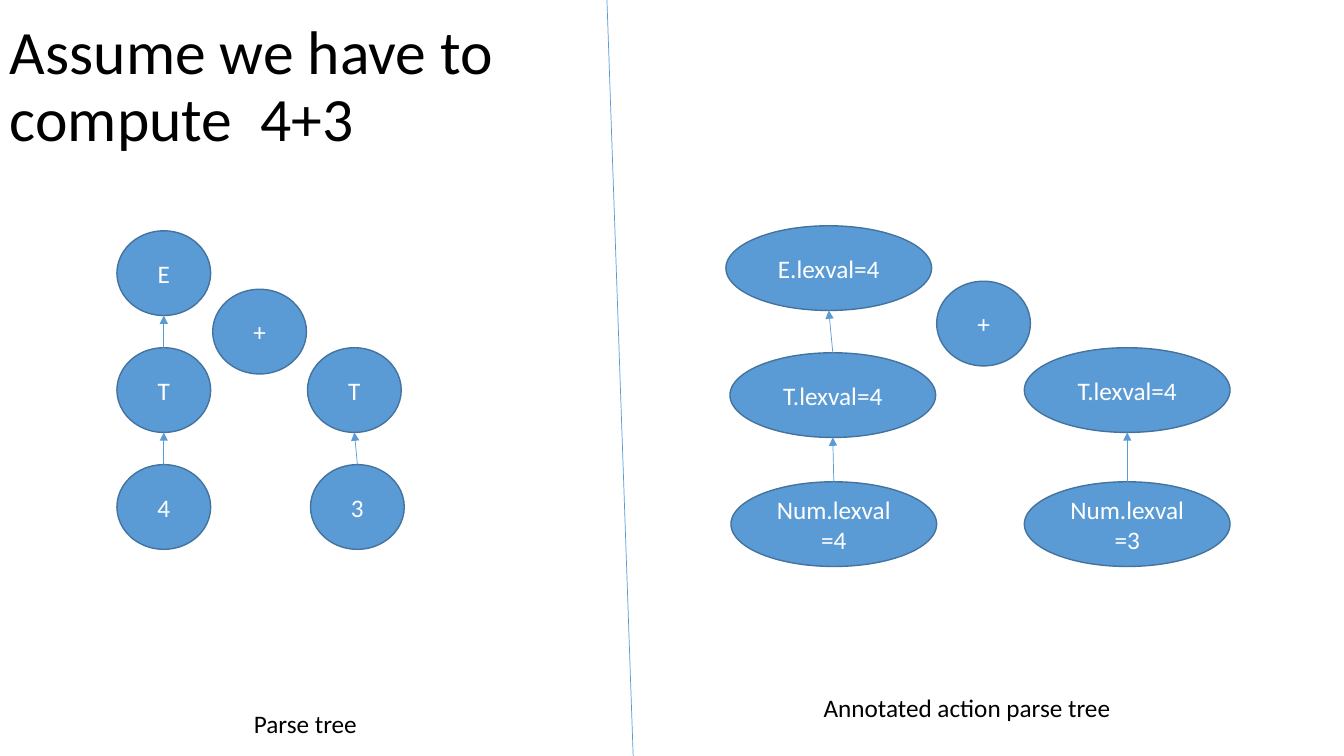
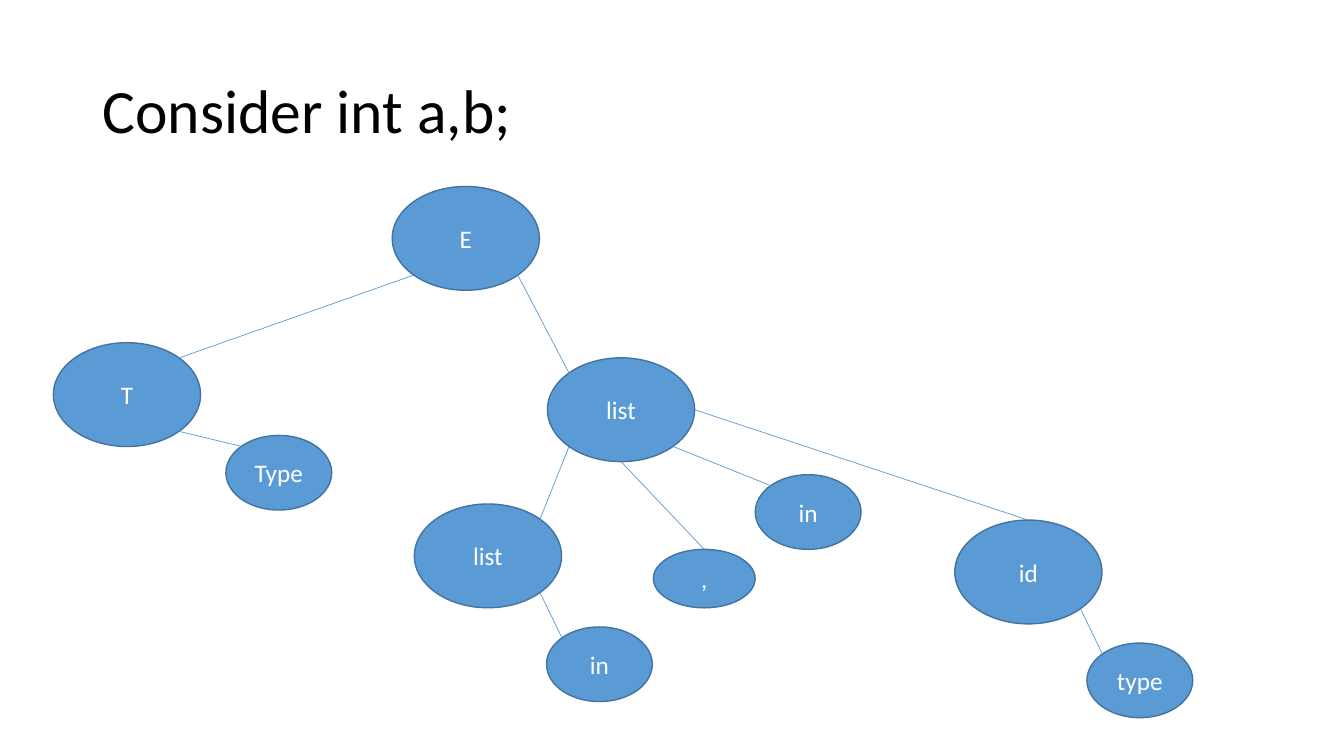
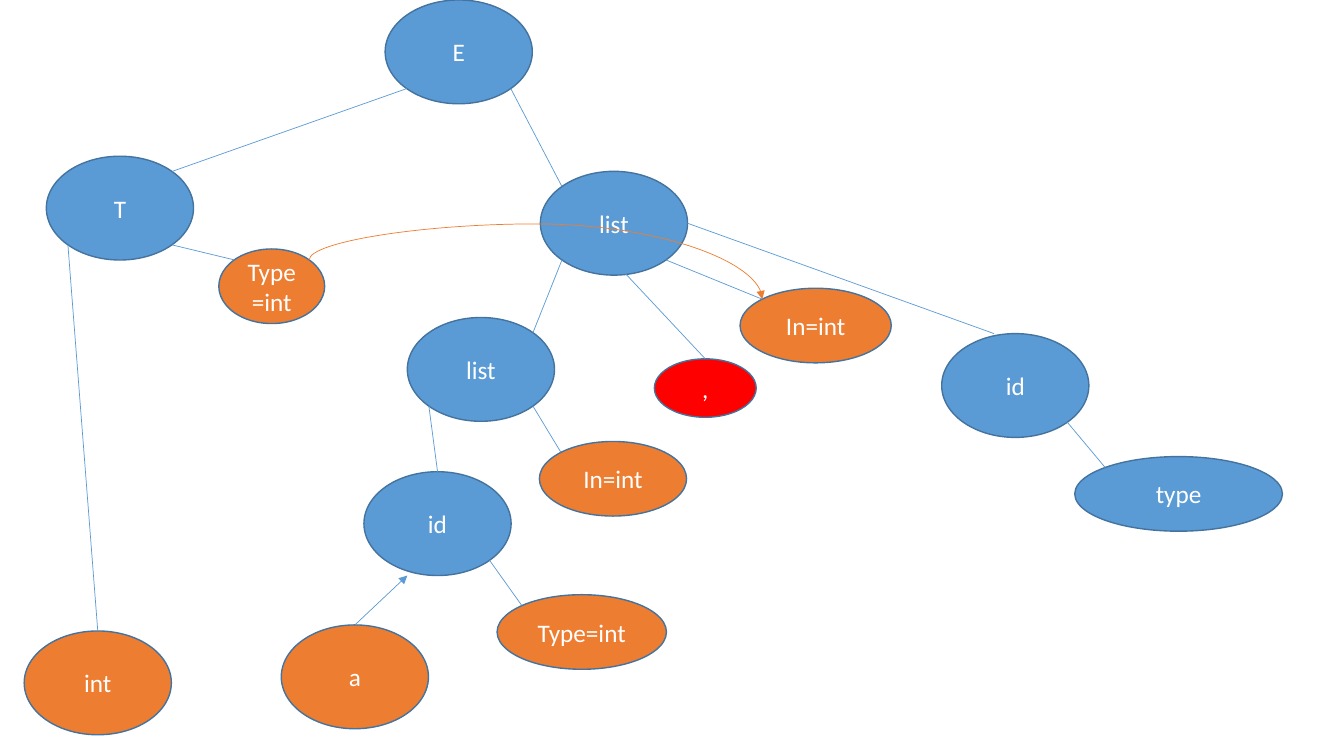
"""Build three slides on parse trees and their annotated attributes."""
from math import cos, radians, sin

from lxml.etree import SubElement
from pptx import Presentation
from pptx.dml.color import RGBColor
from pptx.enum.shapes import MSO_CONNECTOR, MSO_SHAPE
from pptx.enum.text import MSO_ANCHOR, PP_ALIGN
from pptx.oxml.ns import qn
from pptx.util import Inches, Pt

BLUE = RGBColor(0x5B, 0x9B, 0xD5)
OUTLINE = RGBColor(0x43, 0x73, 0x9E)
ORANGE = RGBColor(0xED, 0x7D, 0x31)
RED = RGBColor(0xFF, 0x00, 0x00)
BLACK = RGBColor(0x00, 0x00, 0x00)
WHITE = RGBColor(0xFF, 0xFF, 0xFF)

ROUND, WIDE = (0.93, 0.84), (2.04, 0.84)
LARGE, SMALL, COMMA = (1.46, 1.03), (1.05, 0.74), (1.01, 0.58)

TOP, TOP_LEFT, LEFT, BOTTOM_LEFT, BOTTOM, BOTTOM_RIGHT, RIGHT, TOP_RIGHT = range(8)

TITLE = {"size": Pt(44), "name": "Calibri"}
LABEL = {"size": Pt(18), "name": "Calibri"}

SUM_NODES = {
    "left number": ("4", 1.16, 4.61, ROUND, BLUE),
    "right number": ("3", 3.08, 4.61, ROUND, BLUE),
    "left term": ("T", 1.16, 3.45, ROUND, BLUE),
    "right term": ("T", 3.05, 3.45, ROUND, BLUE),
    "sum": ("E", 1.16, 2.29, ROUND, BLUE),
    "plus": ("+", 2.11, 2.87, ROUND, BLUE),
    "left number value": ("Num.lexval=4", 7.25, 4.78, WIDE, BLUE),
    "right number value": ("Num.lexval=3", 10.16, 4.78, WIDE, BLUE),
    "left term value": ("T.lexval=4", 7.24, 3.5, WIDE, BLUE),
    "right term value": ("T.lexval=4", 10.16, 3.45, WIDE, BLUE),
    "sum value": ("E.lexval=4", 7.2, 2.24, WIDE, BLUE),
    "plus value": ("+", 9.29, 2.79, ROUND, BLUE),
}
SUM_ARROWS = [
    ((child + suffix, TOP), (parent + suffix, BOTTOM))
    for suffix in ("", " value")
    for child, parent in (
        ("left number", "left term"),
        ("right number", "right term"),
        ("left term", "sum"),
    )
]
CAPTIONS = [
    ("Parse tree", 2.42, 6.98, 1.23),
    ("Annotated action parse tree", 8.07, 6.82, 3.08),
]

DECLARATION_NODES = {
    "root": ("E", 3.89, 1.85, LARGE, BLUE),
    "T": ("T", 0.53, 3.4, LARGE, BLUE),
    "T type": ("Type", 2.24, 4.32, SMALL, BLUE),
    "list": ("list", 5.43, 3.55, LARGE, BLUE),
    "list in": ("in", 7.49, 4.71, SMALL, BLUE),
    "inner list": ("list", 4.11, 5, LARGE, BLUE),
    "inner in": ("in", 5.42, 6.22, SMALL, BLUE),
    "id": ("id", 9.47, 5.16, LARGE, BLUE),
    "id type": ("type", 10.78, 6.38, SMALL, BLUE),
    "comma": (",", 6.48, 5.45, COMMA, BLUE),
}
DECLARATION_LINES = [
    (("T", BOTTOM_RIGHT), ("T type", TOP_LEFT)),
    (("root", BOTTOM_LEFT), ("T", TOP_RIGHT)),
    (("root", BOTTOM_RIGHT), ("list", TOP_LEFT)),
    (("list", BOTTOM_RIGHT), ("list in", TOP_LEFT)),
    (("inner list", BOTTOM_RIGHT), ("inner in", TOP_LEFT)),
    (("list", BOTTOM_LEFT), ("inner list", TOP_RIGHT)),
    (("id", BOTTOM_RIGHT), ("id type", TOP_LEFT)),
]
PLAIN_LINES = [
    (("list", RIGHT), ("id", TOP)),
    (("list", BOTTOM), ("comma", TOP)),
]

SHIFT_X, SHIFT_Y = -0.07, -1.85
ANNOTATED_NODES = {
    name: (text, left + SHIFT_X, top + SHIFT_Y, size, fill)
    for name, (text, left, top, size, fill) in DECLARATION_NODES.items()
} | {
    "T type": ("Type=int", 2.17, 2.47, SMALL, ORANGE),
    "list in": ("In=int", 7.34, 2.86, (1.5, 0.74), ORANGE),
    "inner in": ("In=int", 5.35, 4.38, (1.46, 0.74), ORANGE),
    "id": ("id", 9.34, 3.31, LARGE, BLUE),
    "id type": ("type", 10.66, 4.53, (2.06, 0.74), BLUE),
    "comma": (",", 6.49, 3.56, COMMA, RED),
    "inner id": ("id", 3.61, 4.68, LARGE, BLUE),
    "inner type": ("Type=int", 4.93, 5.9, (1.68, 0.74), ORANGE),
    "int": ("int", 0.24, 6.26, LARGE, ORANGE),
    "a": ("a", 2.79, 6.2, LARGE, ORANGE),
}
ANNOTATED_LINES = [
    (("list", RIGHT), (9.86, 3.31)),
    ((6.18, 2.69), ("comma", TOP)),
    (("inner id", BOTTOM_RIGHT), ("inner type", TOP_LEFT)),
    (("inner list", BOTTOM_LEFT), ("inner id", TOP)),
    (("T", BOTTOM_LEFT), ("int", TOP)),
]
ANNOTATED_ARROWS = [(("a", TOP), (4.04, 5.71))]


def set_text(shape, text, font_format, color, **paragraph_format):
    paragraph = shape.text_frame.paragraphs[0]
    for name, value in paragraph_format.items():
        setattr(paragraph, name, value)
    run = paragraph.add_run()
    run.text = text
    for name, value in font_format.items():
        setattr(run.font, name, value)
    run.font.color.rgb = color


def add_title(slide, text, left, top, width):
    box = slide.shapes.add_textbox(*map(Inches, (left, top, width, 1.45)))
    box.text_frame.word_wrap = True
    box.text_frame.vertical_anchor = MSO_ANCHOR.MIDDLE
    set_text(box, text, TITLE, BLACK, line_spacing=0.9)


def add_caption(slide, text, left, top, width):
    box = slide.shapes.add_textbox(*map(Inches, (left, top, width, 0.4)))
    box.text_frame.word_wrap = False
    set_text(box, text, LABEL, BLACK)


def add_node(slide, text, left, top, size, fill):
    shape = slide.shapes.add_shape(MSO_SHAPE.OVAL, *map(Inches, (left, top, *size)))
    shape.shadow.inherit = False
    shape.fill.solid()
    shape.fill.fore_color.rgb = fill
    shape.line.color.rgb = OUTLINE
    shape.line.width = Pt(1)
    shape.text_frame.word_wrap = True
    shape.text_frame.vertical_anchor = MSO_ANCHOR.MIDDLE
    set_text(shape, text, LABEL, WHITE, alignment=PP_ALIGN.CENTER)


def add_line(slide, start, end, arrow=False, color=BLUE, kind=MSO_CONNECTOR.STRAIGHT):
    connector = slide.shapes.add_connector(kind, *map(Inches, (*start, *end)))
    connector.line.color.rgb = color
    connector.line.width = Pt(0.5)
    if arrow:
        SubElement(connector.line._get_or_add_ln(), qn("a:tailEnd"), type="triangle")
    SubElement(connector._element.spPr, qn("a:effectLst"))
    return connector


def locate(nodes, end):
    """Return the point of a (node, site) pair, or the point itself."""
    if not isinstance(end[0], str):
        return end
    name, site = end
    _, left, top, (width, height), _ = nodes[name]
    angle = radians(90 + 45 * site)
    return (left + width / 2 * (1 + cos(angle)), top + height / 2 * (1 - sin(angle)))


def draw_tree(slide, nodes, lines=(), arrows=()):
    for node in nodes.values():
        add_node(slide, *node)
    for edges, arrow in ((lines, False), (arrows, True)):
        for start, end in edges:
            add_line(slide, locate(nodes, start), locate(nodes, end), arrow)


def add_inheritance_curve(slide, nodes):
    start_x, start_y = locate(nodes, ("T type", TOP_RIGHT))
    end_x, end_y = locate(nodes, ("list in", TOP_LEFT))
    middle_x, middle_y = (start_x + end_x) / 2, (start_y + end_y) / 2
    half_width, half_height = (end_y - start_y) / 2, (end_x - start_x) / 2
    curve = add_line(
        slide,
        (middle_x + half_width, middle_y - half_height),
        (middle_x - half_width, middle_y + half_height),
        True, ORANGE, MSO_CONNECTOR.CURVE,
    )
    properties = curve._element.spPr
    properties.find(qn("a:xfrm")).set("rot", str(270 * 60000))
    adjustments = properties.find(qn("a:prstGeom")).find(qn("a:avLst"))
    SubElement(adjustments, qn("a:gd"), name="adj1", fmla="val -91600")


def main():
    presentation = Presentation()
    presentation.slide_width, presentation.slide_height = Inches(13.33), Inches(7.5)
    sum_slide, declaration_slide, annotated_slide = (
        presentation.slides.add_slide(presentation.slide_layouts[6]) for _ in range(3)
    )

    add_title(sum_slide, "Assume we have to compute  4+3", 0, 0.15, 5.77)
    add_line(sum_slide, (6.02, 0), (6.28, 7.5))
    for caption in CAPTIONS:
        add_caption(sum_slide, *caption)
    draw_tree(sum_slide, SUM_NODES, arrows=SUM_ARROWS)

    add_title(declaration_slide, "Consider int a,b;", 0.92, 0.4, 11.5)
    draw_tree(declaration_slide, DECLARATION_NODES, DECLARATION_LINES + PLAIN_LINES)

    draw_tree(annotated_slide, ANNOTATED_NODES,
              DECLARATION_LINES + ANNOTATED_LINES, ANNOTATED_ARROWS)
    add_inheritance_curve(annotated_slide, ANNOTATED_NODES)

    presentation.save("out.pptx")


if __name__ == "__main__":
    main()
